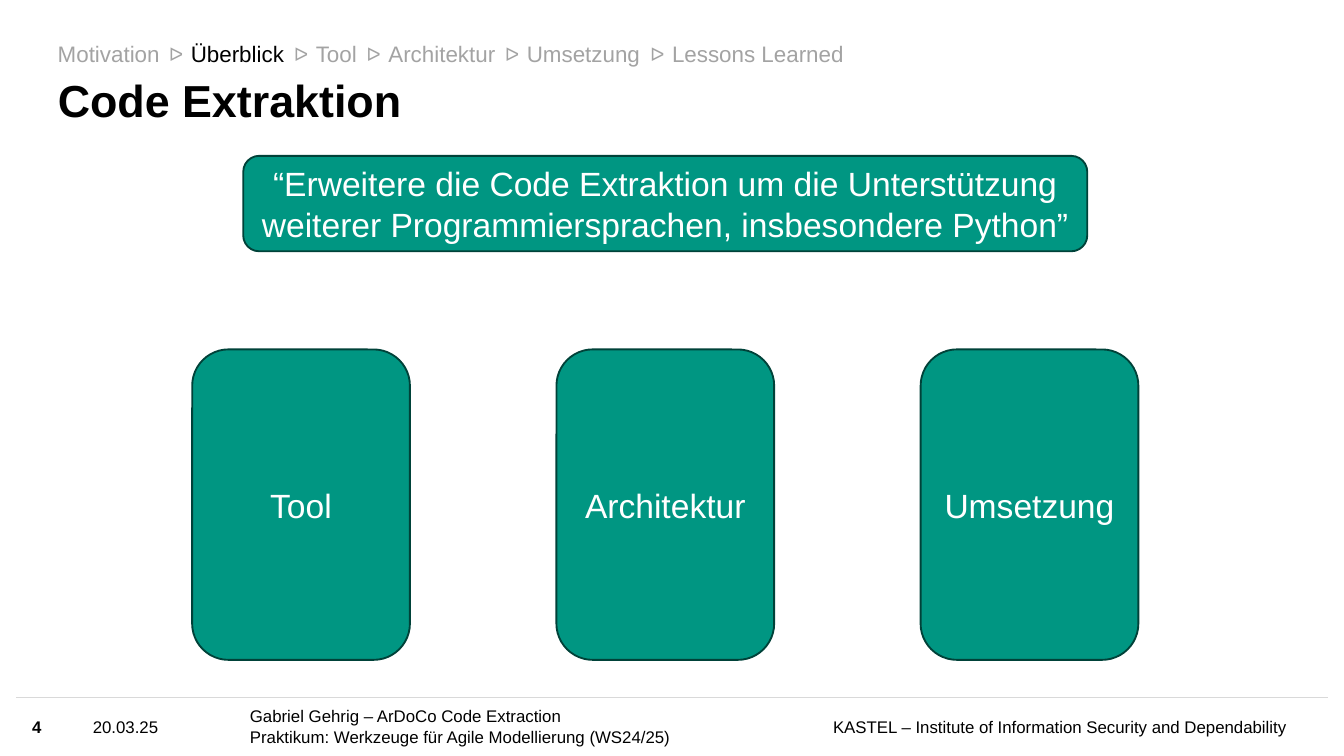
"""Build the overview slide of the Code Extraktion talk."""
from lxml import etree
from pptx import Presentation
from pptx.dml.color import RGBColor
from pptx.enum.shapes import MSO_CONNECTOR, MSO_SHAPE
from pptx.enum.text import MSO_ANCHOR, MSO_AUTO_SIZE, PP_ALIGN
from pptx.oxml.ns import qn
from pptx.util import Inches, Pt

BLACK = RGBColor(0x00, 0x00, 0x00)
WHITE = RGBColor(0xFF, 0xFF, 0xFF)
GRAY = RGBColor(0xA3, 0xA3, 0xA3)
RULE_GRAY = RGBColor(0xD9, 0xD9, 0xD9)
GREEN = RGBColor(0x00, 0x96, 0x82)
DARK_GREEN = RGBColor(0x00, 0x42, 0x39)


def write(shape, text, size, color, align=PP_ALIGN.LEFT, anchor=MSO_ANCHOR.MIDDLE,
          inset=(0, 0), bold=False, wrap=True):
    frame = shape.text_frame
    frame.text = text
    frame.word_wrap = wrap
    frame.auto_size = MSO_AUTO_SIZE.NONE
    frame.vertical_anchor = anchor
    frame.margin_left = frame.margin_right = Inches(inset[0])
    frame.margin_top = frame.margin_bottom = Inches(inset[1])
    for paragraph in frame.paragraphs:
        paragraph.alignment = align
        for run in paragraph.runs:
            run.font.name = "Arial"
            run.font.size = Pt(size)
            run.font.bold = bold
            run.font.color.rgb = color


def add_card(left, top, width, height, text):
    card = slide.shapes.add_shape(MSO_SHAPE.ROUNDED_RECTANGLE, Inches(left), Inches(top),
                                  Inches(width), Inches(height))
    card.shadow.inherit = False
    card.fill.solid()
    card.fill.fore_color.rgb = GREEN
    card.line.color.rgb = DARK_GREEN
    card.line.width = Pt(1)
    write(card, text, 18, WHITE, PP_ALIGN.CENTER, inset=(0.1, 0.05))


prs = Presentation()
prs.slide_width = Inches(10)
prs.slide_height = Inches(10) * 9 // 16
slide = prs.slides.add_slide(prs.slide_layouts[5])

FOOTER_TOP = 5.19
footer_rule = slide.shapes.add_connector(
    MSO_CONNECTOR.STRAIGHT, Inches(0.12), Inches(FOOTER_TOP), Inches(9.88), Inches(FOOTER_TOP))
footer_rule.line.color.rgb = RULE_GRAY
footer_rule.line.width = Pt(1)
etree.SubElement(footer_rule._element.spPr, qn("a:effectLst"))

footer = [
    (1.86, 4.03, "Gabriel Gehrig – ArDoCo Code Extraction\n"
                 "Praktikum: Werkzeuge für Agile Modellierung (WS24/25)", PP_ALIGN.LEFT, False),
    (6.02, 3.55, "KASTEL – Institute of Information Security and Dependability",
     PP_ALIGN.RIGHT, False),
    (0.69, 1.12, "20.03.25", PP_ALIGN.LEFT, False),
    (0.24, 0.36, "4", PP_ALIGN.LEFT, True),
]
for left, width, text, align, bold in footer:
    entry = slide.shapes.add_textbox(Inches(left), Inches(FOOTER_TOP), Inches(width), Inches(0.43))
    write(entry, text, 9, BLACK, align, bold=bold)

title = slide.shapes.title
title.left, title.top = Inches(0.43), Inches(0.32)
title.width, title.height = Inches(7.51), Inches(0.63)
write(title, "Code Extraktion", 24, BLACK, anchor=MSO_ANCHOR.BOTTOM, bold=True)
title.text_frame.paragraphs[0].line_spacing = 0.9

sections = [("Motivation", 0.76), ("Überblick", 0.7), ("Tool", 0.31),
            ("Architektur", 0.8), ("Umsetzung", 0.85), ("Lessons Learned", 1.28)]
section_left = 0.43
for index, (section, width) in enumerate(sections):
    if index > 0:
        arrow = slide.shapes.add_textbox(Inches(section_left - 0.27), Inches(0.27),
                                         Inches(0.32), Inches(0.27))
        write(arrow, "ᐅ", 10, GRAY, PP_ALIGN.CENTER, MSO_ANCHOR.TOP, (0, 0.05))
    crumb = slide.shapes.add_textbox(Inches(section_left), Inches(0.25), Inches(width), Inches(0.3))
    write(crumb, section, 12, BLACK if section == "Überblick" else GRAY,
          anchor=MSO_ANCHOR.TOP, inset=(0, 0.05), wrap=False)
    section_left += width + 0.23

add_card(1.81, 1.16, 6.28, 0.71, "“Erweitere die Code Extraktion um die Unterstützung "
                                 "weiterer Programmiersprachen, insbesondere Python”")
for column, topic in enumerate(["Tool", "Architektur", "Umsetzung"]):
    add_card(1.43 + column * 2.71, 2.6, 1.62, 2.31, topic)

prs.save("out.pptx")
